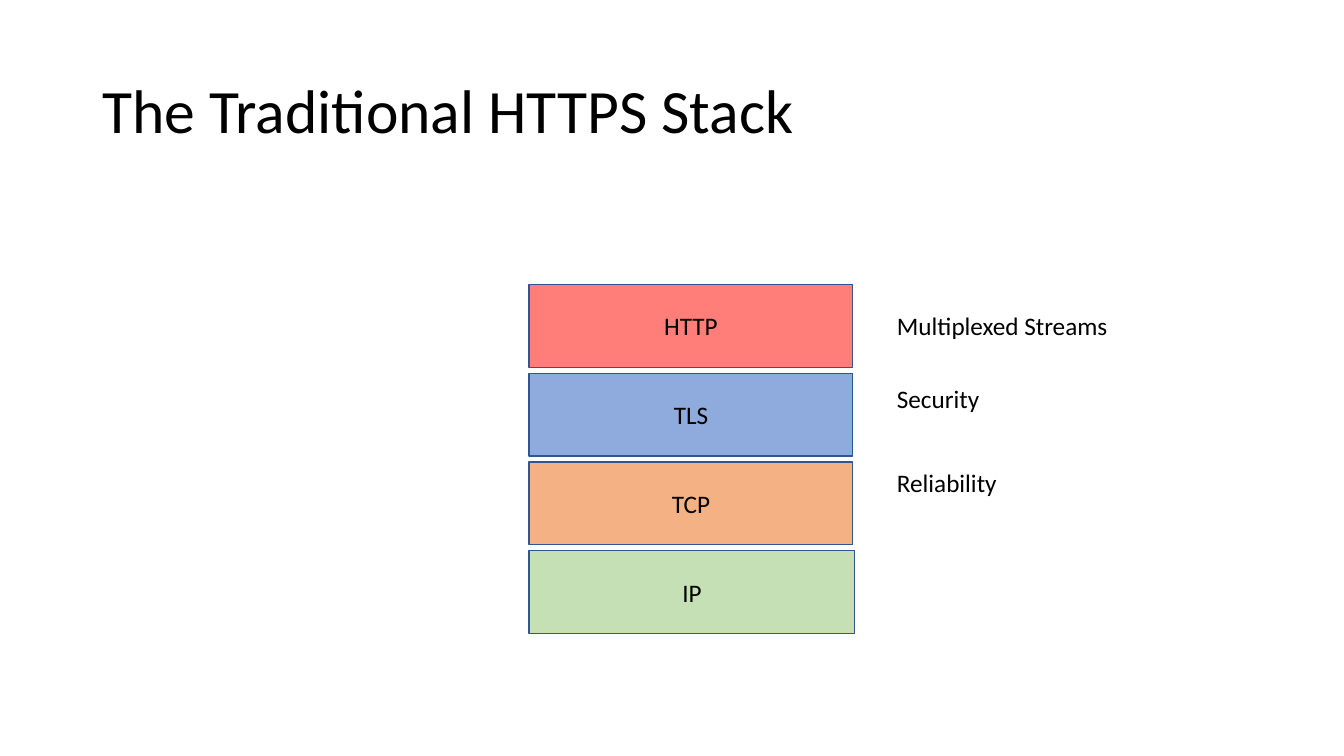
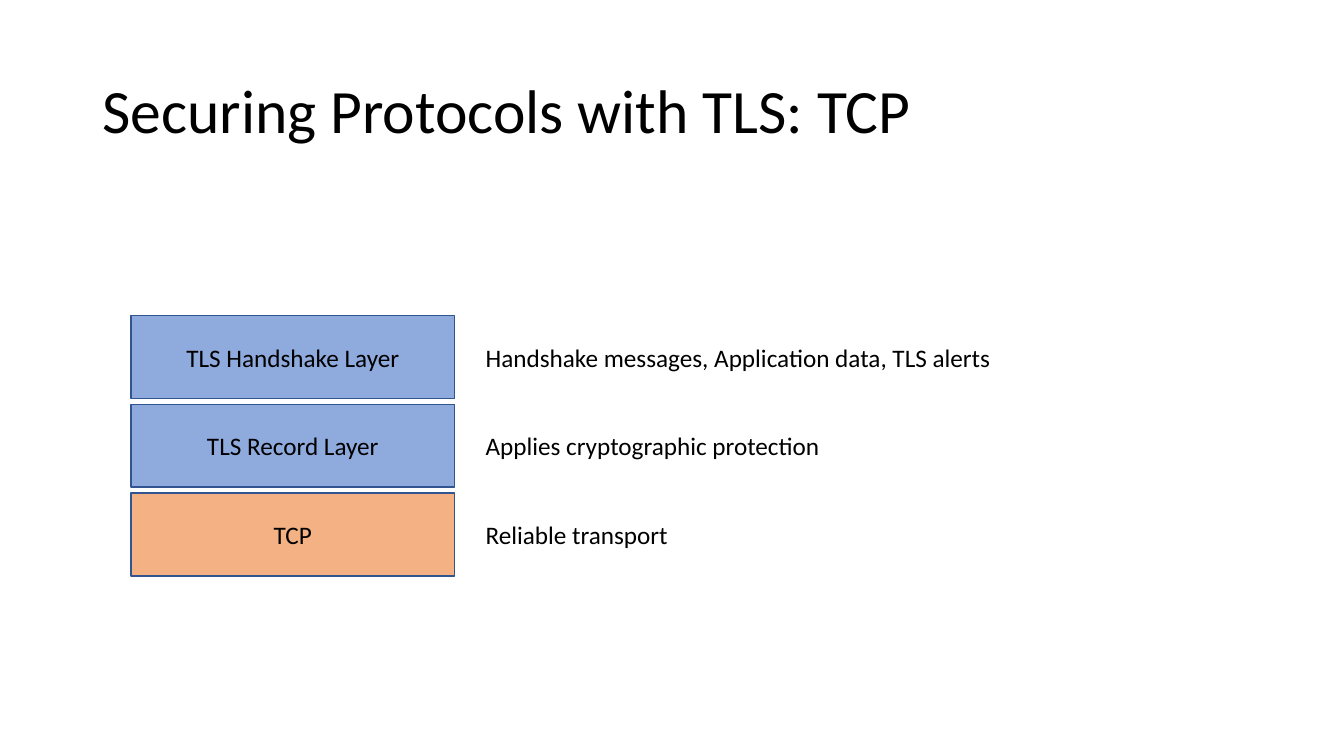
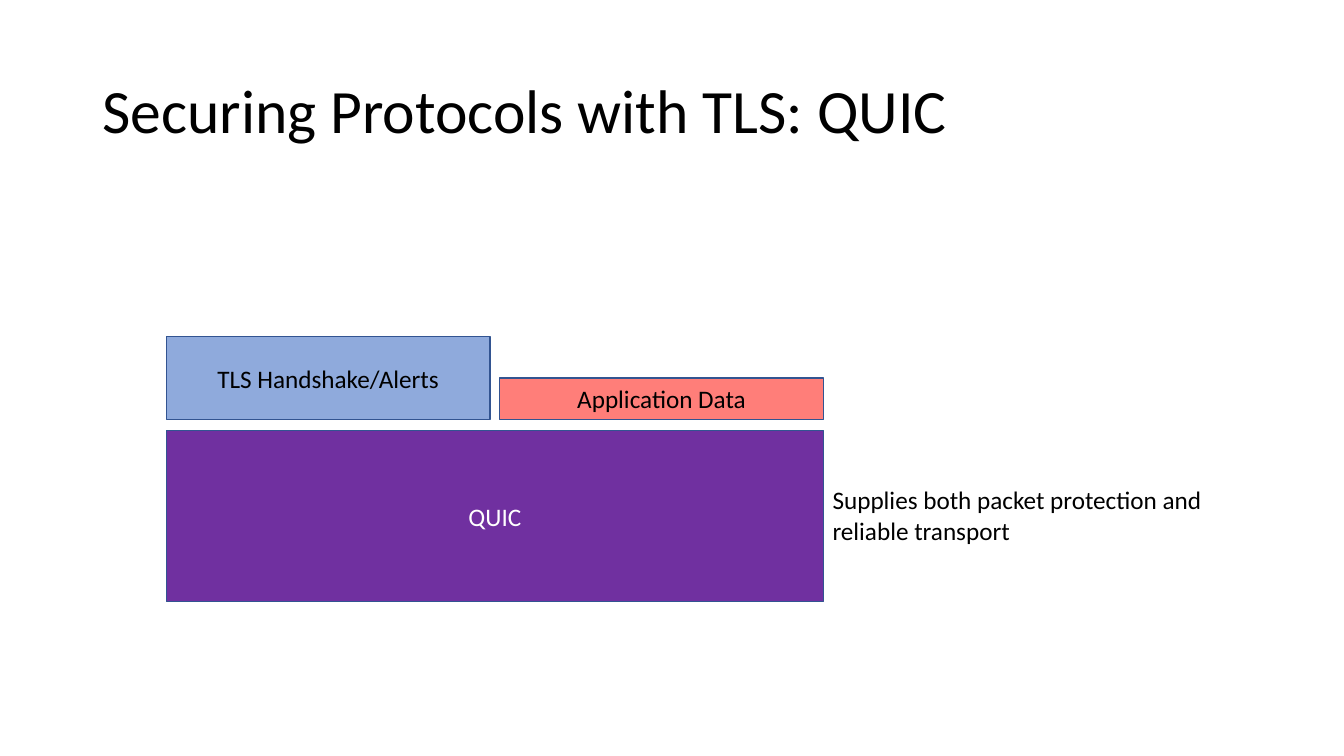
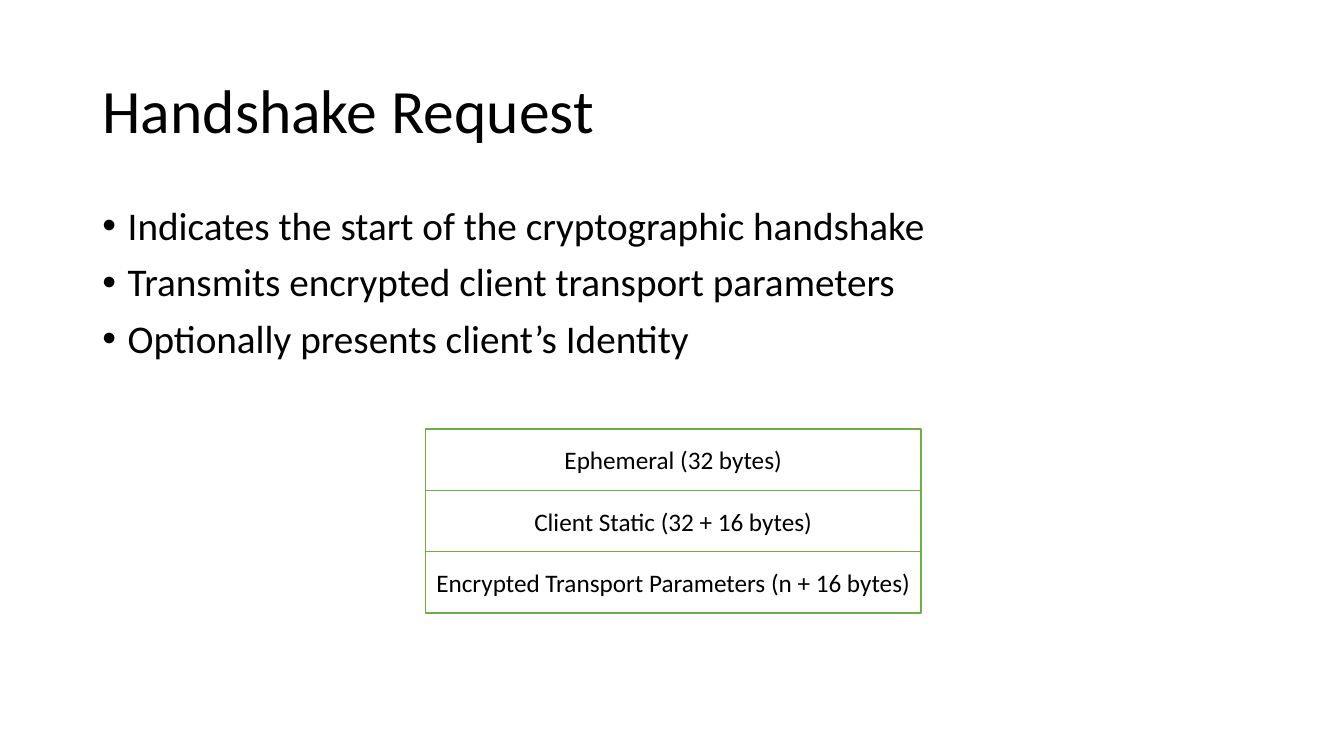
from dataclasses import dataclass

from pptx import Presentation
from pptx.dml.color import RGBColor
from pptx.enum.shapes import MSO_SHAPE
from pptx.enum.text import MSO_ANCHOR, MSO_AUTO_SIZE, PP_ALIGN
from pptx.util import Pt

RECT = MSO_SHAPE.RECTANGLE
TOP, MIDDLE = MSO_ANCHOR.TOP, MSO_ANCHOR.MIDDLE
LEFT, CENTER = PP_ALIGN.LEFT, PP_ALIGN.CENTER
FIXED, GROW = MSO_AUTO_SIZE.NONE, MSO_AUTO_SIZE.SHAPE_TO_FIT_TEXT
TITLE_ONLY, TITLE_AND_BODY = 5, 1


@dataclass(frozen=True)
class Theme:
    font: str = "Calibri"
    title_size: int = 44
    body_size: int = 28
    label_size: int = 18
    black: str = "000000"
    white: str = "FFFFFF"
    http: str = "FF7E79"
    tls: str = "8FAADC"
    tcp: str = "F4B183"
    ip: str = "C5E0B4"
    quic: str = "7030A0"
    outline: str = "325491"
    field_outline: str = "70AD47"


theme = Theme()
LAYER_W, LAYER_H, LAYER_PITCH = 231.2, 59.2, 63.4
LABEL_H = 29

prs = Presentation()
prs.slide_width, prs.slide_height = Pt(960), Pt(540)


def write(shape, lines, size, color=theme.black, anchor=MIDDLE, auto_size=FIXED,
          wrap=True, **paragraph_format):
    """Fill the shape with one paragraph per line, all in the same format."""
    tf = shape.text_frame
    tf.text = "\n".join(lines)
    for name, value in {"vertical_anchor": anchor, "auto_size": auto_size,
                        "word_wrap": wrap}.items():
        setattr(tf, name, value)
    for p in tf.paragraphs:
        for name, value in paragraph_format.items():
            setattr(p, name, value)
        for r in p.runs:
            r.font.name, r.font.size = theme.font, Pt(size)
            r.font.color.rgb = RGBColor.from_string(color)


def add_box(s, text, at, fill, line=theme.outline, color=theme.black):
    sp = s.shapes.add_shape(RECT, *map(Pt, at))
    sp.shadow.inherit = False
    sp.fill.solid()
    sp.fill.fore_color.rgb = RGBColor.from_string(fill)
    sp.line.color.rgb = RGBColor.from_string(line)
    sp.line.width = Pt(1)
    write(sp, [text], theme.label_size, color, alignment=CENTER)


# Slides and their titles
slides = []
for title, layout in [
    ("The Traditional HTTPS Stack", TITLE_ONLY),
    ("Securing Protocols with TLS: TCP", TITLE_ONLY),
    ("Securing Protocols with TLS: QUIC", TITLE_ONLY),
    ("Handshake Request", TITLE_AND_BODY),
]:
    s = prs.slides.add_slide(prs.slide_layouts[layout])
    sp = s.shapes.title
    sp.left, sp.top, sp.width, sp.height = map(Pt, (66, 28.8, 828, 104.4))
    write(sp, [title], theme.title_size, alignment=LEFT, line_spacing=0.9)
    slides.append(s)
https_slide, tcp_slide, quic_slide, request_slide = slides

# Protocol stacks, from the top layer down
for s, left, top, layers in [
    (https_slide, 378, 203.2, [
        ("HTTP", theme.http, LAYER_W),
        ("TLS", theme.tls, LAYER_W),
        ("TCP", theme.tcp, LAYER_W),
        ("IP", theme.ip, 232.6),
    ]),
    (tcp_slide, 93.6, 225.4, [
        ("TLS Handshake Layer", theme.tls, LAYER_W),
        ("TLS Record Layer", theme.tls, LAYER_W),
        ("TCP", theme.tcp, LAYER_W),
    ]),
]:
    for i, (text, fill, width) in enumerate(layers):
        add_box(s, text, (left, top + i * LAYER_PITCH, width, LAYER_H), fill)

# QUIC carries the handshake and the application data side by side
quic_left, quic_top, quic_w = 118.8, 307.4, 469.4
add_box(quic_slide, "QUIC", (quic_left, quic_top, quic_w, 122.4), theme.quic,
        color=theme.white)
add_box(quic_slide, "TLS Handshake/Alerts", (quic_left, 240.5, LAYER_W, LAYER_H), theme.tls)
add_box(quic_slide, "Application Data",
        (quic_left + quic_w - LAYER_W, 270.1, LAYER_W, LAYER_H / 2), theme.http)

# Labels to the right of the layers
for s, text, at, wrap in [
    (https_slide, "Multiplexed Streams", (633.6, 218.4, 166.3, LABEL_H), False),
    (https_slide, "Security", (633.6, 270.2, 74.2, LABEL_H), False),
    (https_slide, "Reliability", (633.6, 330.5, 90.7, LABEL_H), False),
    (tcp_slide, "Handshake messages, Application data, TLS alerts",
     (339.8, 241, 379.4, LABEL_H), False),
    (tcp_slide, "Applies cryptographic protection", (339.8, 304, 255.6, LABEL_H), False),
    (tcp_slide, "Reliable transport", (339.8, 367.4, 146.2, LABEL_H), False),
    (quic_slide, "Supplies both packet protection and reliable transport",
     (587.6, 342.7, 312.5, 51), True),
]:
    sp = s.shapes.add_textbox(*map(Pt, at))
    write(sp, [text], theme.label_size, anchor=TOP, auto_size=GROW, wrap=wrap)

# Handshake request: bullets and message fields
body = request_slide.placeholders[1]
body.left, body.top, body.width, body.height = map(Pt, (66, 144, 828, 342.7))
write(body, [
    "Indicates the start of the cryptographic handshake",
    "Transmits encrypted client transport parameters",
    "Optionally presents client’s Identity",
], theme.body_size, anchor=TOP, line_spacing=0.9, space_before=Pt(10))
for p in body.text_frame.paragraphs:
    pPr = p._p.get_or_add_pPr()
    pPr.set("marL", str(Pt(18)))
    pPr.set("indent", str(-Pt(18)))

field_h = 43.8
for i, text in enumerate([
    "Ephemeral (32 bytes)",
    "Client Static (32 + 16 bytes)",
    "Encrypted Transport Parameters (n + 16 bytes)",
]):
    add_box(request_slide, text, (303.8, 306.5 + i * field_h, 354.2, field_h),
            theme.white, line=theme.field_outline)

prs.save("out.pptx")
